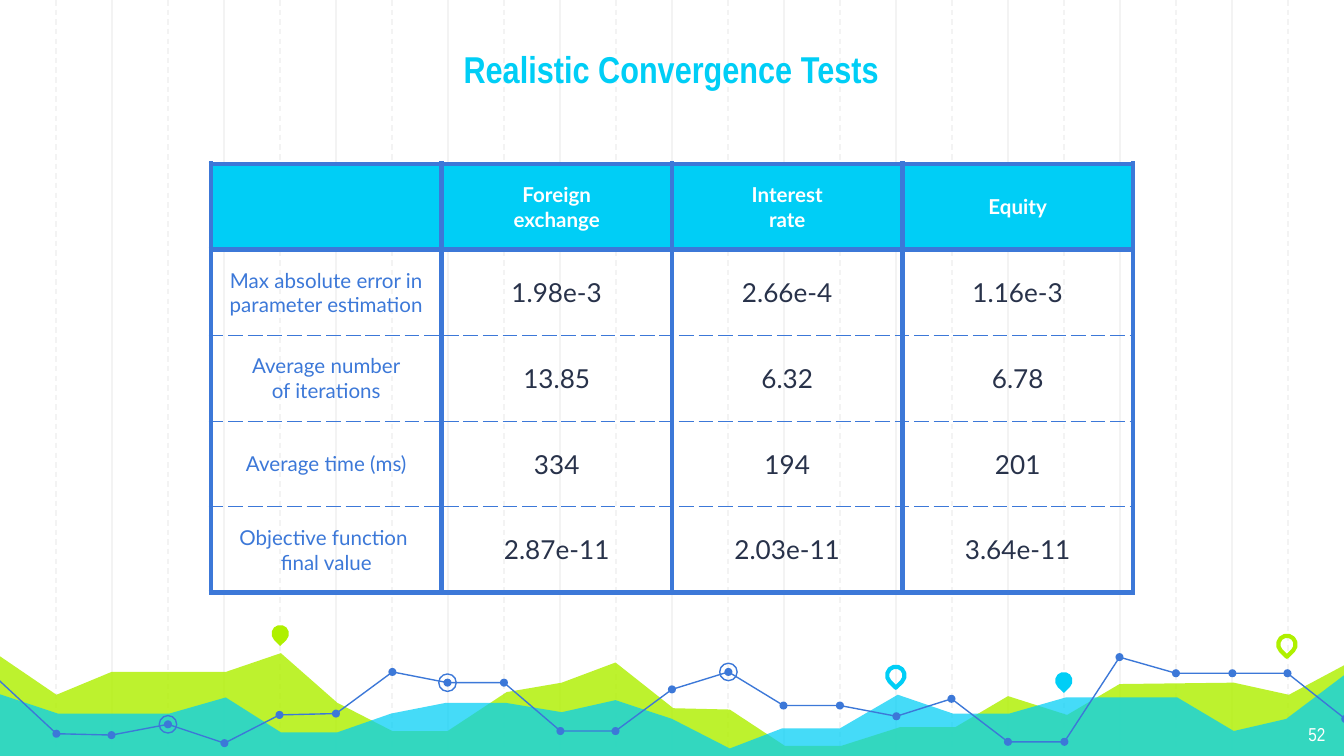
from typing import NamedTuple, Optional

from lxml import etree
from pptx import Presentation
from pptx.dml.color import RGBColor
from pptx.enum import dml, shapes, text
from pptx.oxml import ns
from pptx.util import Inches, Pt

WHITE = RGBColor(0xFF, 0xFF, 0xFF)
GRID = RGBColor(0xF3, 0xF3, 0xF3)
LIME = RGBColor(0xAF, 0xF0, 0x00)
CYAN = RGBColor(0x00, 0xCE, 0xF6)
BLUE = RGBColor(0x3C, 0x78, 0xD8)
INK = RGBColor(0x28, 0x32, 0x4A)
HEADING_FONT, BODY_FONT = "Arial Narrow", "Lato"
SLIDE_WIDTH = Inches(10)
SLIDE_HEIGHT = SLIDE_WIDTH * 9 // 16
GRID_STEP = 10 / 24


class Area(NamedTuple):
    color: RGBColor
    opacity: int
    points: list


class Pin(NamedTuple):
    left: float
    top: float
    color: RGBColor
    filled: bool


class Border(NamedTuple):
    width: float
    dash: str


SOLID, DASHED = Border(3, "solid"), Border(0.75, "dash")

AREAS = [
    Area(LIME, 82, [
        (-0.02, 4.87), (0.42, 5.17), (0.83, 5), (1.68, 5), (2.09, 4.86), (2.51, 5.23),
        (2.92, 5.44), (3.33, 5.44), (3.77, 5.15), (4.18, 5.08), (4.58, 4.93), (5.01, 5.27),
        (5.43, 5.28), (5.84, 5.55), (6.26, 5.55), (6.7, 5.41), (7.11, 5.41), (7.5, 5.18),
        (7.94, 5.32), (8.33, 5.09), (9.18, 5.08), (9.59, 5.17), (10.02, 4.94),
        (10.01, 5.64), (-0.03, 5.64)]),
    Area(CYAN, 73, [
        (-0.02, 5.16), (0.43, 5.31), (1.26, 5.31), (1.68, 5.19), (2.09, 5.45), (2.51, 5.45),
        (2.91, 5.31), (3.32, 5.23), (3.76, 5.23), (4.18, 5.3), (4.58, 5.21), (5, 5.35),
        (5.43, 5.57), (5.82, 5.42), (6.25, 5.42), (6.68, 5.17), (7.09, 5.31), (7.51, 5.31),
        (7.93, 5.19), (8.76, 5.19), (9.18, 5.44), (9.57, 5.35), (10.02, 5.01),
        (10.02, 5.65), (-0.03, 5.65)]),
]
PINS = [Pin(2.02, 4.65, LIME, True), Pin(6.6, 4.96, CYAN, False),
        Pin(7.85, 5, CYAN, True), Pin(9.51, 4.73, LIME, False)]
TREND = [
    (-0.01, 5.06), (0.42, 5.46), (0.83, 5.47), (1.25, 5.39), (1.67, 5.53), (2.08, 5.32),
    (2.5, 5.31), (2.92, 5), (3.33, 5.08), (3.75, 5.08), (4.17, 5.44), (4.58, 5.44),
    (5, 5.13), (5.42, 5), (5.83, 5.25), (6.25, 5.25), (6.67, 5.33), (7.08, 5.2),
    (7.5, 5.52), (7.92, 5.52), (8.33, 4.89), (8.75, 5.01), (9.17, 5.01), (9.58, 5.01),
    (10.01, 5.35)]
TREND_BREAKS = [0, 11, 20, 24]
RINGED = [3, 8, 13]

TABLE_ROWS = [
    ["", "Foreign\nexchange", "Interest\nrate", "Equity"],
    ["Max absolute error in parameter estimation", "1.98e-3", "2.66e-4", "1.16e-3"],
    ["Average number\nof iterations", "13.85", "6.32", "6.78"],
    ["Average time (ms)", "334", "194", "201"],
    ["Objective function \nfinal value", "2.87e-11", "2.03e-11", "3.64e-11"],
]


def paint(shape, fill: Optional[RGBColor] = None, line: Optional[RGBColor] = None,
          width: float = 0.75) -> None:
    """Give a shape its fill and outline; a missing colour means none."""
    shape.shadow.inherit = False
    for target, color in ((shape.fill, fill), (shape.line.fill, line)):
        if color is None:
            target.background()
        else:
            target.solid()
            target.fore_color.rgb = color
    if line is not None:
        shape.line.width = Pt(width)


def add_grid_line(slide, x: float, dashed: bool) -> None:
    line = slide.shapes.add_connector(
        shapes.MSO_CONNECTOR.STRAIGHT, Inches(x), 0, Inches(x), SLIDE_HEIGHT)
    line.line.color.rgb = GRID
    line.line.width = Pt(0.75)
    if dashed:
        line.line.dash_style = dml.MSO_LINE.DASH
    etree.SubElement(line._element.spPr, ns.qn("a:effectLst"))


def add_outline(slide, points: list, close: bool):
    corners = [(Inches(x), Inches(y)) for x, y in points]
    builder = slide.shapes.build_freeform(*corners[0])
    builder.add_line_segments(corners[1:], close=close)
    return builder.convert_to_shape()


def add_area(slide, area: Area) -> None:
    shape = add_outline(slide, area.points, close=True)
    paint(shape, fill=area.color)
    color = shape._element.spPr.find(ns.qn("a:solidFill"))[0]
    etree.SubElement(color, ns.qn("a:alpha"), val=str(area.opacity * 1000))


def add_circle(slide, center: tuple, size: float):
    x, y = center
    return slide.shapes.add_shape(
        shapes.MSO_SHAPE.OVAL, Inches(x - size / 2), Inches(y - size / 2),
        Inches(size), Inches(size))


def add_pin(slide, pin: Pin) -> None:
    shape = slide.shapes.add_shape(
        shapes.MSO_SHAPE.TEAR, Inches(pin.left), Inches(pin.top), Inches(0.13), Inches(0.13))
    shape.rotation = 135
    if pin.filled:
        paint(shape, fill=pin.color)
    else:
        paint(shape, line=pin.color, width=2.25)


def add_trend(slide) -> None:
    for first, last in zip(TREND_BREAKS, TREND_BREAKS[1:]):
        paint(add_outline(slide, TREND[first:last + 1], close=False), line=BLUE)
    for point in TREND[1:]:
        paint(add_circle(slide, point, 0.06), fill=BLUE)
    for index in RINGED:
        paint(add_circle(slide, TREND[index], 0.13), line=BLUE)


def style_text(frame, font: str, size: float, color: RGBColor, bold: bool, align) -> None:
    for paragraph in frame.paragraphs:
        paragraph.alignment = align
        paragraph.font.name = font
        paragraph.font.size = Pt(size)
        paragraph.font.color.rgb = color
        paragraph.font.bold = bold


def set_borders(cell, top: Border, bottom: Border) -> None:
    properties = cell._tc.get_or_add_tcPr()
    sides = {"L": SOLID, "R": SOLID, "T": top, "B": bottom}
    for index, (side, border) in enumerate(sides.items()):
        line = etree.Element(ns.qn(f"a:ln{side}"), w=str(Pt(border.width)))
        fill = etree.SubElement(line, ns.qn("a:solidFill"))
        etree.SubElement(fill, ns.qn("a:srgbClr"), val=str(BLUE))
        etree.SubElement(line, ns.qn("a:prstDash"), val=border.dash)
        properties.insert(index, line)


def add_results_table(slide) -> None:
    last = len(TABLE_ROWS) - 1
    table = slide.shapes.add_table(
        len(TABLE_ROWS), len(TABLE_ROWS[0]),
        Inches(1.57), Inches(1.22), Inches(6.86), Inches(3.19)).table
    table.first_row = table.horz_banding = False
    for i, row in enumerate(TABLE_ROWS):
        for j, wording in enumerate(row):
            cell = table.cell(i, j)
            cell.text = wording
            cell.vertical_anchor = text.MSO_ANCHOR.MIDDLE
            cell.margin_top = cell.margin_bottom = Inches(0.07)
            if i == 0:
                cell.fill.solid()
                cell.fill.fore_color.rgb = CYAN
                size, color = 11, WHITE
            else:
                cell.fill.background()
                size, color = (11, BLUE) if j == 0 else (14, INK)
            style_text(cell.text_frame, BODY_FONT, size, color, i == 0, text.PP_ALIGN.CENTER)
            set_borders(cell, SOLID if i < 2 else DASHED, SOLID if i in (0, last) else DASHED)


def set_margins(frame) -> None:
    frame.margin_left = frame.margin_right = Inches(0.1)
    frame.margin_top = frame.margin_bottom = Inches(0.1)
    frame.word_wrap = True
    frame.auto_size = text.MSO_AUTO_SIZE.NONE


def add_title(slide) -> None:
    """Fill the title placeholder and bring it in front of the grid."""
    title = slide.shapes.title
    slide.shapes._spTree.append(title._element)
    title.left, title.top, title.width, title.height = (
        Inches(1.17), 0, Inches(7.65), Inches(0.78))
    frame = title.text_frame
    frame.text = "Realistic Convergence Tests"
    set_margins(frame)
    frame.vertical_anchor = text.MSO_ANCHOR.BOTTOM
    style_text(frame, HEADING_FONT, 20, CYAN, True, text.PP_ALIGN.CENTER)


def add_page_number(slide) -> None:
    frame = slide.shapes.add_textbox(
        Inches(9.36), Inches(5.28), Inches(0.6), Inches(0.34)).text_frame
    frame.text = "52"
    set_margins(frame)
    style_text(frame, HEADING_FONT, 10, WHITE, False, text.PP_ALIGN.RIGHT)


def main() -> None:
    presentation = Presentation()
    presentation.slide_width, presentation.slide_height = SLIDE_WIDTH, SLIDE_HEIGHT
    slide = presentation.slides.add_slide(presentation.slide_layouts[5])
    for step in [*range(2, 24, 2), *range(1, 24, 2)]:
        add_grid_line(slide, step * GRID_STEP, dashed=step % 2 == 1)
    for area in AREAS:
        add_area(slide, area)
    for pin in PINS:
        add_pin(slide, pin)
    add_trend(slide)
    add_title(slide)
    add_results_table(slide)
    add_page_number(slide)
    presentation.save("out.pptx")


if __name__ == "__main__":
    main()
